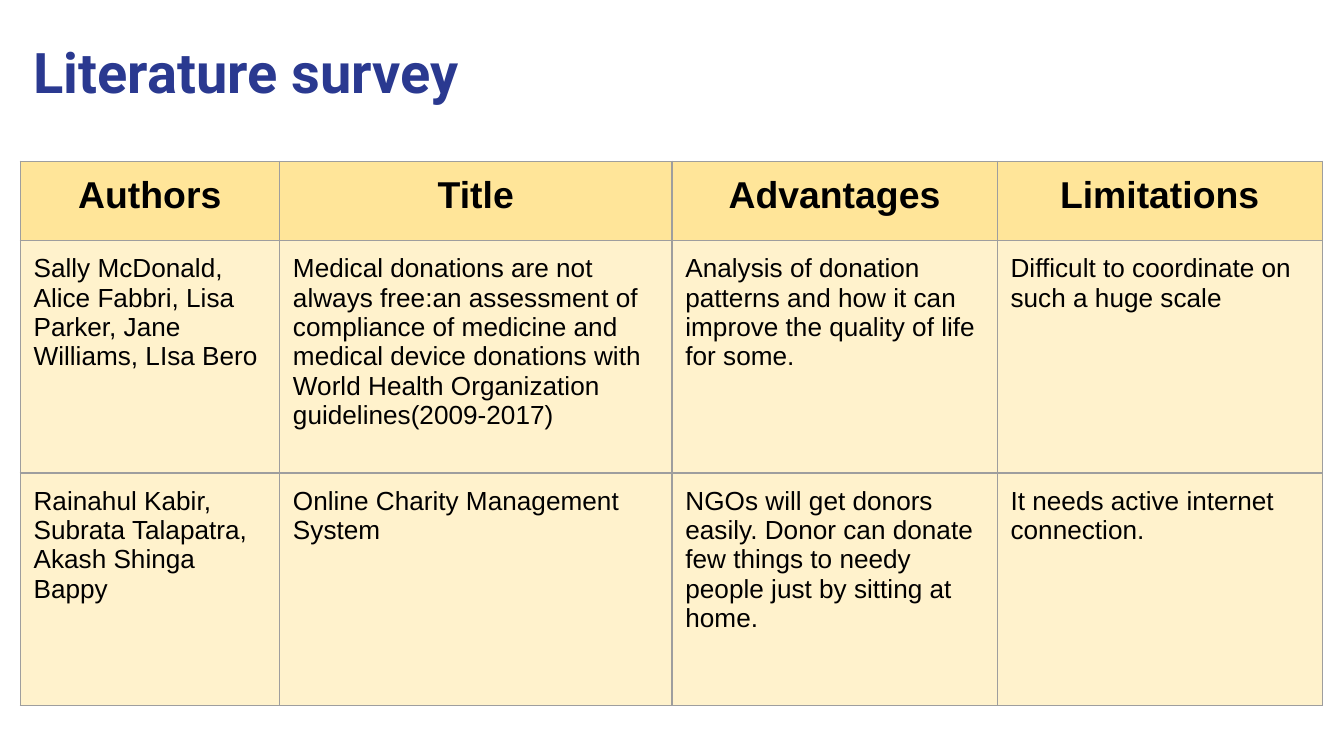
from dataclasses import dataclass

from lxml.etree import SubElement
from pptx import Presentation
from pptx.dml.color import RGBColor as RGB
from pptx.enum.text import MSO_ANCHOR as Anchor, PP_ALIGN as Align
from pptx.oxml.ns import qn
from pptx.slide import Slide
from pptx.table import _Cell as Cell
from pptx.text.text import TextFrame
from pptx.util import Inches, Pt


@dataclass(frozen=True)
class Style:
    font: str
    size: int
    color: str
    bold: bool = False
    align: Align = Align.LEFT
    fill: str = ""


@dataclass(frozen=True)
class Theme:
    title: Style = Style("Roboto", 30, "2A3990", True)
    head: Style = Style("Arial", 20, "000000", True, Align.CENTER, "FFE599")
    body: Style = Style("Arial", 14, "000000", fill="FFF2CC")
    line: str = "9E9E9E"
    width: float = 0.75
    inset: float = 0.1


@dataclass(frozen=True)
class Paper:
    authors: str
    title: str
    gains: str
    limits: str

    def texts(self) -> list[str]:
        return [self.authors, self.title, self.gains, self.limits]


THEME = Theme()
WIDTH = 10
HEIGHT = WIDTH * 9 / 16
LEFT = 0.15
COLS = [1.93, 2.92, 2.42, 2.42]
ROWS = [0.59, 1.73, 1.73]
HEADS = Paper("Authors", "Title", "Advantages", "Limitations")
PAPERS = [
    Paper(
        "Sally McDonald, Alice Fabbri, Lisa Parker, Jane Williams, LIsa Bero",
        "Medical donations are not always free:an assessment of compliance of "
        "medicine and medical device donations with World Health Organization "
        "guidelines(2009-2017)",
        "Analysis of donation patterns and how it can improve the quality of "
        "life for some.",
        "Difficult to coordinate on such a huge scale",
    ),
    Paper(
        "Rainahul Kabir, Subrata Talapatra, Akash Shinga Bappy",
        "Online Charity Management System",
        "NGOs will get donors easily. Donor can donate few things to needy "
        "people just by sitting at home.",
        "It needs active internet connection.",
    ),
]


def write(frame: TextFrame, text: str, style: Style) -> None:
    frame.text = text
    frame.word_wrap = True
    para = frame.paragraphs[0]
    para.alignment = style.align
    font = para.runs[0].font
    font.name, font.size, font.bold = style.font, Pt(style.size), style.bold
    font.color.rgb = RGB.from_string(style.color)


def pad(box: Cell | TextFrame) -> None:
    """Set the same inset on all four sides."""
    box.margin_left = box.margin_right = Inches(THEME.inset)
    box.margin_top = box.margin_bottom = Inches(THEME.inset)


def border(cell: Cell) -> None:
    props = cell._tc.get_or_add_tcPr()
    for side in ("lnL", "lnR", "lnT", "lnB"):
        line = SubElement(props, qn(f"a:{side}"), w=str(Pt(THEME.width)))
        fill = SubElement(line, qn("a:solidFill"))
        SubElement(fill, qn("a:srgbClr"), val=THEME.line)


def draw_cell(cell: Cell, text: str, style: Style) -> None:
    write(cell.text_frame, text, style)
    pad(cell)
    cell.vertical_anchor = Anchor.TOP
    border(cell)
    cell.fill.solid()
    cell.fill.fore_color.rgb = RGB.from_string(style.fill)


def draw_title(slide: Slide, text: str) -> None:
    box = slide.shapes.add_textbox(
        Inches(LEFT), Inches(0.18), Inches(9.49), Inches(0.66)
    )
    write(box.text_frame, text, THEME.title)
    pad(box.text_frame)


def draw_table(slide: Slide, papers: list[Paper]) -> None:
    table = slide.shapes.add_table(
        len(ROWS), len(COLS), Inches(LEFT), Inches(1.2),
        Inches(sum(COLS)), Inches(sum(ROWS)),
    ).table
    for col, width in zip(table.columns, COLS):
        col.width = Inches(width)
    for row, height in zip(table.rows, ROWS):
        row.height = Inches(height)
    for r, paper in enumerate([HEADS, *papers]):
        style = THEME.body if r else THEME.head
        for c, text in enumerate(paper.texts()):
            draw_cell(table.cell(r, c), text, style)


def main() -> None:
    deck = Presentation()
    deck.slide_width, deck.slide_height = Inches(WIDTH), Inches(HEIGHT)
    slide = deck.slides.add_slide(deck.slide_layouts[6])
    draw_title(slide, "Literature survey")
    draw_table(slide, PAPERS)
    deck.save("out.pptx")


if __name__ == "__main__":
    main()
